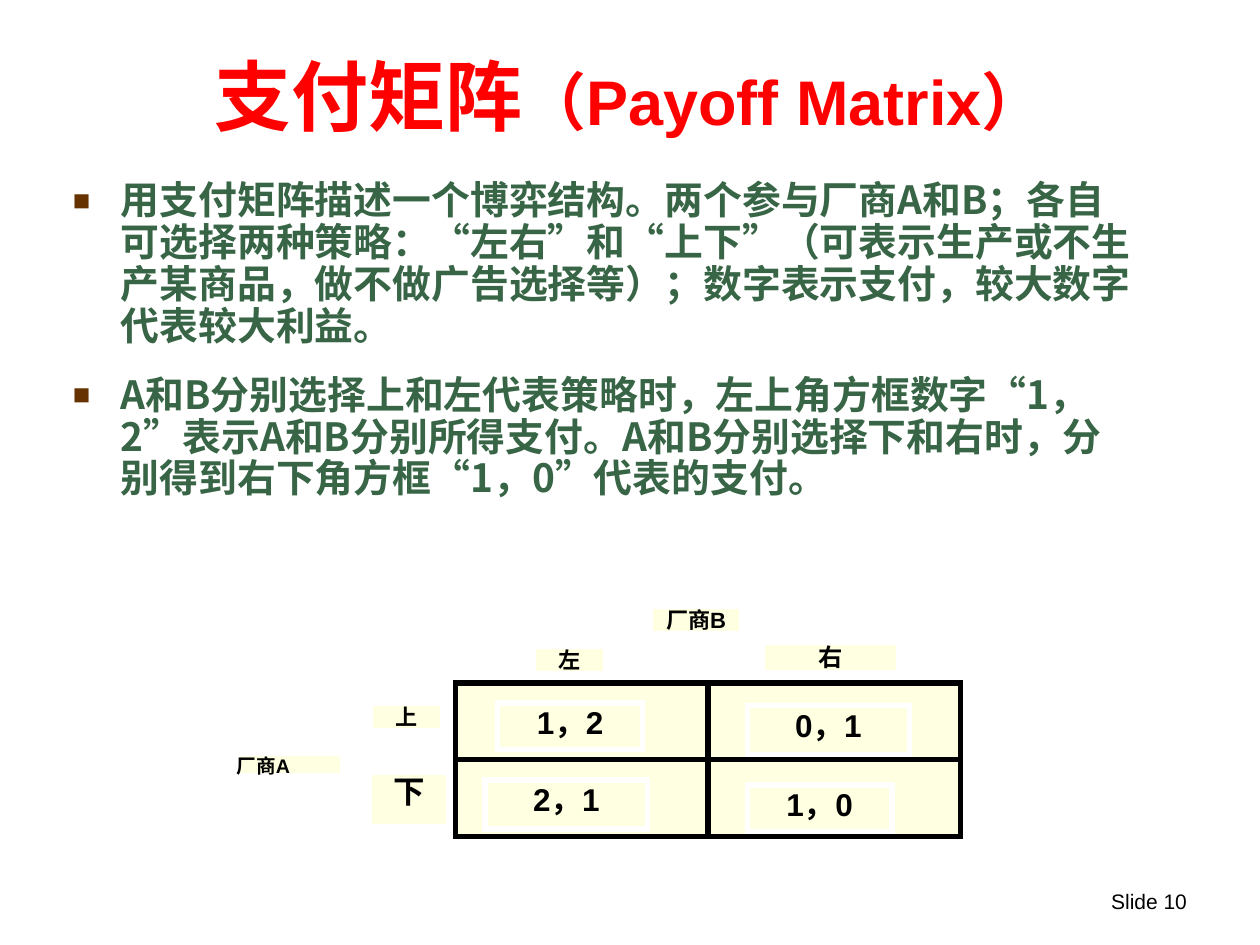
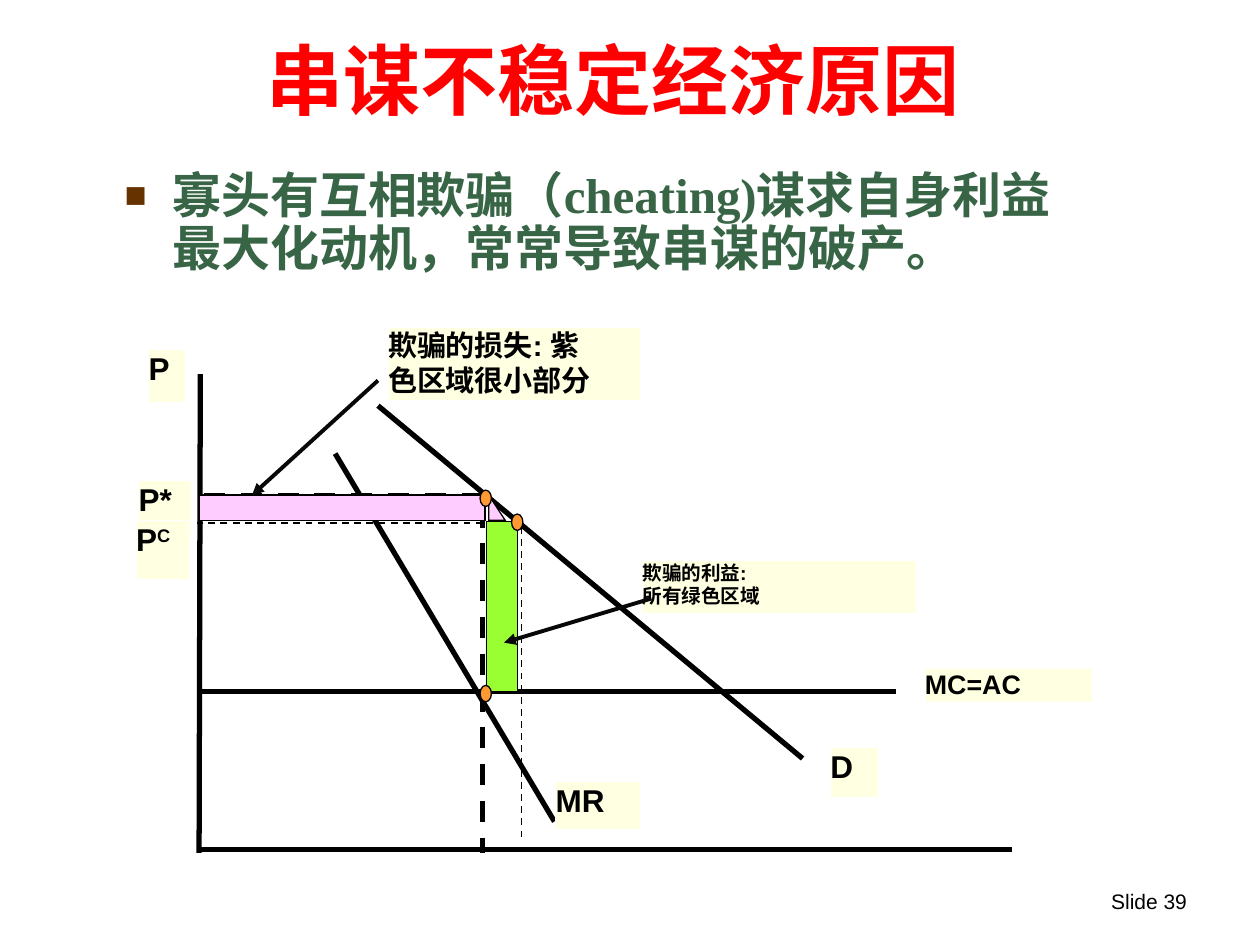
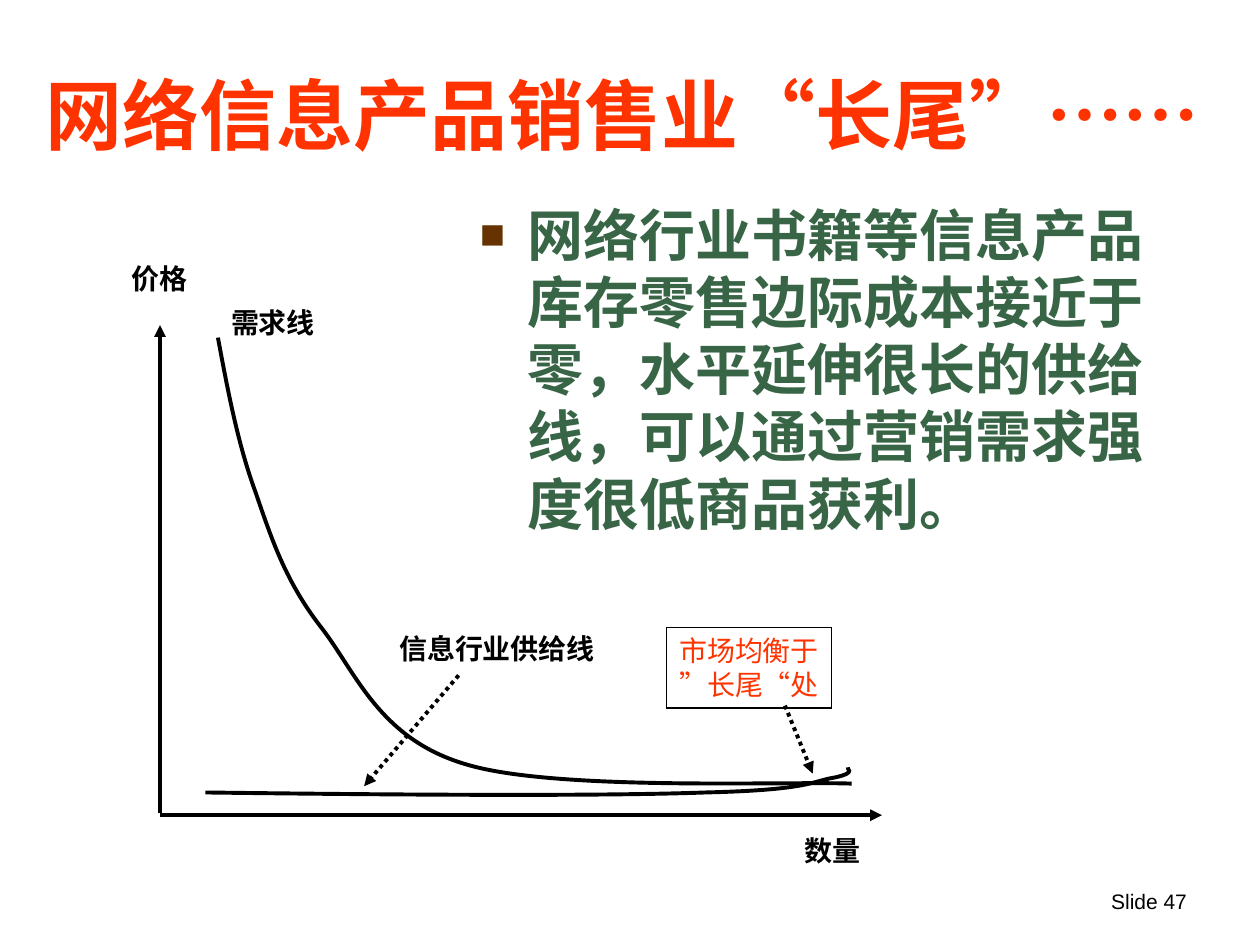
"""Build three lecture slides on games, collusion and the long tail."""
from dataclasses import dataclass, replace
from typing import NamedTuple, Optional

from lxml.etree import SubElement
from pptx import Presentation
from pptx.dml.color import RGBColor
from pptx.enum.dml import MSO_LINE as Dash
from pptx.enum.shapes import MSO_CONNECTOR as Connector, MSO_SHAPE as Preset
from pptx.enum.text import MSO_ANCHOR as Anchor, MSO_AUTO_SIZE as AutoSize, PP_ALIGN as Align
from pptx.oxml.ns import qn
from pptx.util import Inches, Pt

WIDTH, HEIGHT = Inches(10), Inches(7.5)
COLUMNS, ROWS = 100, 75


@dataclass(frozen=True)
class Theme:
    """Colours, fonts and type sizes of the deck."""
    ink: str = "000000"
    arrow: str = "080808"
    title: str = "FF0000"
    accent: str = "FF3300"
    body: str = "376546"
    bullet: str = "663300"
    paper: str = "FFFFE1"
    white: str = "FFFFFF"
    loss: str = "FFCCFF"
    gain: str = "99FF33"
    point: str = "FF9933"
    latin: str = "Arial"
    serif: str = "Times New Roman"
    chinese: str = "Noto Sans CJK SC"
    title_size: float = 44
    title_small: float = 36
    body_large: float = 32
    body_medium: float = 28
    body_small: float = 22.2
    label_large: float = 18
    note_large: float = 16.6
    label: float = 16
    cost_label: float = 15.3
    label_wide: float = 13.9
    label_small: float = 12.6
    footer: float = 12
    note_small: float = 11.2


THEME = Theme()


class Box(NamedTuple):
    """A place in grid columns and rows."""
    col: float
    row: float
    cols: float
    rows: float


class Point(NamedTuple):
    """A position in grid columns and rows."""
    col: float
    row: float


@dataclass(frozen=True)
class Type:
    """The look of a run of text."""
    size: float
    colour: str = THEME.ink
    font: str = THEME.latin
    bold: bool = True
    raised: bool = False


class Words(NamedTuple):
    """A run of text with its look."""
    text: str
    look: Type


@dataclass(frozen=True)
class Setting:
    """How paragraphs sit in their frame."""
    align: Align = Align.LEFT
    anchor: Anchor = Anchor.TOP
    inset: tuple[float, float] = (0.1, 0.05)
    wrap: bool = True
    bulleted: bool = False
    leading: Optional[float] = None
    before: float = 0


class Pen(NamedTuple):
    """The stroke of a line."""
    width: float
    colour: str = THEME.ink
    dash: Optional[Dash] = None
    arrow: bool = False


class Label(NamedTuple):
    """A filled caption with one line of text."""
    text: str
    box: Box
    size: float = THEME.label_large
    align: Align = Align.CENTER


Paragraphs = list[list[Words]]
TITLE = Setting(Align.CENTER, Anchor.BOTTOM)
BODY = Setting(bulleted=True, leading=0.9)
TIGHT = Setting(inset=(0, 0))
LOOSE = Setting(wrap=False)
TITLE_TYPE = Type(THEME.title_size, THEME.title, THEME.chinese)
BODY_TYPE = Type(THEME.body_small, THEME.body, THEME.chinese)
THICK, MEDIUM, THIN, FINE, HAIR = Pen(3), Pen(2.25), Pen(1), Pen(0.75), Pen(0.25, THEME.white)
FRAME = Pen(3, THEME.white)
ARROW = MEDIUM._replace(arrow=True)
DOTTED = ARROW._replace(dash=Dash.ROUND_DOT)


def across(cols: float) -> int:
    """Turn grid columns into a length."""
    return round(WIDTH * cols / COLUMNS)


def down(rows: float) -> int:
    """Turn grid rows into a length."""
    return round(HEIGHT * rows / ROWS)


def place(box: Box) -> tuple[int, int, int, int]:
    """Turn a grid box into left, top, width and height."""
    return across(box.col), down(box.row), across(box.cols), down(box.rows)


def stroke(line, pen: Pen) -> None:
    """Apply a pen with square corners to a line format."""
    line.color.rgb = RGBColor.from_string(pen.colour)
    line.width = Pt(pen.width)
    if pen.dash:
        line.dash_style = pen.dash
    SubElement(line._get_or_add_ln(), qn("a:miter")).set("lim", "800000")


def add_bullet(paragraph) -> None:
    """Give a paragraph a hanging square bullet."""
    props = paragraph._p.get_or_add_pPr()
    props.set("marL", str(Inches(0.38)))
    props.set("indent", str(-Inches(0.38)))
    props.set("hangingPunct", "0")
    colour = SubElement(props, qn("a:buClr"))
    SubElement(colour, qn("a:srgbClr")).set("val", THEME.bullet)
    SubElement(props, qn("a:buSzPct")).set("val", "75000")
    SubElement(props, qn("a:buFont")).set("typeface", THEME.latin)
    SubElement(props, qn("a:buChar")).set("char", "■")


def add_run(paragraph, words: Words) -> None:
    """Append one styled run."""
    run = paragraph.add_run()
    run.text = words.text
    look, font = words.look, run.font
    font.size, font.bold, font.name = Pt(look.size), look.bold, look.font
    font.color.rgb = RGBColor.from_string(look.colour)
    props = run._r.get_or_add_rPr()
    props.set("lang", "zh-CN")
    if look.raised:
        props.set("baseline", "30000")
    SubElement(props, qn("a:ea")).set("typeface", THEME.chinese)


def write(shape, paragraphs: Paragraphs, setting: Setting) -> None:
    """Fill a shape with paragraphs."""
    frame = shape.text_frame
    frame.word_wrap = setting.wrap
    frame.auto_size = AutoSize.NONE if setting.wrap else AutoSize.SHAPE_TO_FIT_TEXT
    frame.vertical_anchor = setting.anchor
    frame.margin_left = frame.margin_right = Inches(setting.inset[0])
    frame.margin_top = frame.margin_bottom = Inches(setting.inset[1])
    for index, runs in enumerate(paragraphs):
        paragraph = frame.add_paragraph() if index else frame.paragraphs[0]
        paragraph.alignment = setting.align
        paragraph.space_before = Pt(setting.before)
        if setting.leading:
            paragraph.line_spacing = setting.leading
        if setting.bulleted:
            add_bullet(paragraph)
        for words in runs:
            add_run(paragraph, words)


def add_text(slide, box: Box, paragraphs: Paragraphs, setting: Setting) -> None:
    """Add a plain text box."""
    write(slide.shapes.add_textbox(*place(box)), paragraphs, setting)


def add_area(slide, box: Box, fill: Optional[str], pen: Pen, preset: Preset = Preset.RECTANGLE):
    """Add an outlined preset shape."""
    area = slide.shapes.add_shape(preset, *place(box))
    area.shadow.inherit = False
    if fill:
        area.fill.solid()
        area.fill.fore_color.rgb = RGBColor.from_string(fill)
    else:
        area.fill.background()
    stroke(area.line, pen)
    return area


def add_label(slide, label: Label, pen: Pen) -> None:
    """Add a caption on a pale ground."""
    ground = add_area(slide, label.box, THEME.paper, pen)
    write(ground, [[Words(label.text, Type(label.size))]], replace(TIGHT, align=label.align))


def add_line(slide, start: Point, end: Point, pen: Pen) -> None:
    """Draw a straight line, with an arrowhead if the pen has one."""
    line = slide.shapes.add_connector(
        Connector.STRAIGHT, across(start.col), down(start.row), across(end.col), down(end.row))
    stroke(line.line, pen)
    if pen.arrow:
        SubElement(line.line._get_or_add_ln(), qn("a:tailEnd")).set("type", "triangle")
    SubElement(line._element.spPr, qn("a:effectLst"))


def add_curve(slide, knots: list[Point], pen: Pen) -> None:
    """Draw a chain of cubic curves that share their end knots."""
    builder = slide.shapes.build_freeform(across(knots[0].col), down(knots[0].row))
    builder.add_line_segments([(across(p.col), down(p.row)) for p in knots[1:]], close=False)
    curve = builder.convert_to_shape()
    track = next(curve._element.iter(qn("a:path")))
    segments = track.findall(qn("a:lnTo"))
    for first in range(0, len(segments), 3):
        cubic = SubElement(track, qn("a:cubicBezTo"))
        for segment in segments[first:first + 3]:
            cubic.append(segment[0])
            track.remove(segment)
    curve.shadow.inherit = False
    curve.fill.background()
    stroke(curve.line, pen)


def start_slide(deck, number: int, title_box: Box, title: list[Words],
                setting: Setting = TITLE):
    """Add a slide with its number and title."""
    slide = deck.slides.add_slide(deck.slide_layouts[6])
    footer = Words(f"Slide {number}", Type(THEME.footer, bold=False))
    add_text(slide, Box(83.2, 70, 12, 5), [[footer]], Setting(Align.RIGHT))
    add_text(slide, title_box, [title], setting)
    return slide


def payoff_slide(deck) -> None:
    """Explain the payoff matrix of two firms."""
    slide = start_slide(deck, 10, Box(7.5, 3.3, 85, 8.4), [
        Words("支付矩阵", TITLE_TYPE),
        Words("（Payoff Matrix）", replace(TITLE_TYPE, size=THEME.title_small, font=THEME.latin))])
    points = (
        "用支付矩阵描述一个博弈结构。两个参与厂商A和B；各自可选择两种策略：“左右”和“上下”"
        "（可表示生产或不生产某商品，做不做广告选择等）；数字表示支付，较大数字代表较大利益。",
        "A和B分别选择上和左代表策略时，左上角方框数字“1，2”表示A和B分别所得支付。"
        "A和B分别选择下和右时，分别得到右下角方框“1，0”代表的支付。")
    add_text(slide, Box(4.8, 13.9, 86.5, 32.5), [[Words(point, BODY_TYPE)] for point in points],
             replace(BODY, before=15))
    matrix = Box(36.15, 54.2, 40.1, 12.2)
    right, bottom = matrix.col + matrix.cols, matrix.row + matrix.rows
    middle_col, middle_row = matrix.col + matrix.cols / 2, matrix.row + matrix.rows / 2
    add_area(slide, matrix, THEME.paper, THICK)
    add_line(slide, Point(matrix.col, middle_row), Point(right, middle_row), THICK)
    add_line(slide, Point(middle_col, matrix.row), Point(middle_col, bottom), THICK)
    for label in (
            Label("1，2", Box(39.5, 55.8, 11.5, 3.7)),
            Label("1，0", Box(59.3, 62.3, 11.5, 3.7)),
            Label("2，1", Box(38.5, 61.9, 12.9, 3.9)),
            Label("0，1", Box(59.3, 56, 12.9, 3.9)),
            Label("左", Box(42.3, 51.3, 5.8, 2.2), THEME.label_small),
            Label("上", Box(29.4, 55.8, 5.7, 2.2), THEME.label_small),
            Label("右", Box(60.5, 51, 10.8, 2.4), THEME.label_wide),
            Label("下", Box(29.3, 61.3, 6.3, 4.3)),
            Label("厂商B", Box(51.6, 48.1, 7.3, 2.2), THEME.label_small),
            Label("厂商A", Box(18.8, 59.8, 8.4, 1.8), THEME.note_small, Align.JUSTIFY)):
        add_label(slide, label, FRAME)


def collusion_slide(deck) -> None:
    """Show the gain and loss from cheating on a cartel."""
    slide = start_slide(deck, 39, Box(6.2, 3.7, 85, 6.7), [Words("串谋不稳定经济原因", TITLE_TYPE)])
    reason = Words("寡头有互相欺骗（cheating)谋求自身利益最大化动机，常常导致串谋的破产。",
                   replace(BODY_TYPE, size=THEME.body_medium, font=THEME.serif))
    add_text(slide, Box(8.9, 13.1, 77.7, 9.4), [[reason]], replace(BODY, before=17.5))
    dashed, dashed_thin = THICK._replace(dash=Dash.DASH), THIN._replace(dash=Dash.DASH)
    for start, end, pen in (
            (Point(15.9, 67.4), Point(80.3, 67.4), THICK),
            (Point(15.8, 67.7), Point(15.9, 29.7), THICK),
            (Point(30, 32.2), Point(63.7, 60.2), THICK),
            (Point(26.6, 36), Point(44, 65.2), THICK),
            (Point(15.9, 54.9), Point(71.1, 54.9), THICK),
            (Point(38.3, 40.2), Point(38.3, 67.7), dashed),
            (Point(38.3, 39.3), Point(15.8, 39.3), dashed),
            (Point(41.2, 41.5), Point(15.6, 41.5), dashed_thin),
            (Point(41.4, 41.8), Point(41.4, 66.8), dashed_thin)):
        add_line(slide, start, end, pen)
    for label in (
            Label("D", Box(65.9, 59.3, 3.8, 4)),
            Label("MR", Box(44.1, 62, 6.7, 3.8)),
            Label("P", Box(11.8, 27.7, 2.9, 4.2)),
            Label("P*", Box(11, 38.1, 4.2, 4.7)),
            Label("MC=AC", Box(73.4, 53, 13.3, 2.7), THEME.cost_label)):
        add_label(slide, label._replace(align=Align.JUSTIFY), HAIR)
    add_area(slide, Box(15.8, 39.3, 22.7, 2), THEME.loss, FINE)
    add_area(slide, Box(38.8, 39.3, 1.3, 2), THEME.loss, FINE, Preset.RIGHT_TRIANGLE)
    add_area(slide, Box(38.6, 41.4, 2.5, 13.5), THEME.gain, FINE)
    price = Type(THEME.label_large)
    rival_price = [Words("P", price), Words("C", replace(price, raised=True))]
    notes = (
        (Box(10.8, 41.3, 4.2, 4.7), [rival_price]),
        (Box(30.8, 26, 20, 5.8), [[Words(line, Type(THEME.note_large))]
                                  for line in ("欺骗的损失: 紫", "色区域很小部分")]),
        (Box(51, 44.5, 21.7, 4.2), [[Words(line, Type(THEME.note_small))]
                                    for line in ("欺骗的利益:", "所有绿色区域")]))
    for box, lines in notes:
        write(add_area(slide, box, THEME.paper, HAIR), lines, TIGHT)
    for crossing in (Point(40.6, 40.8), Point(38.1, 38.9), Point(38.1, 54.4)):
        add_area(slide, Box(*crossing, 0.9, 1.3), THEME.point, FINE, Preset.OVAL)
    pointer = ARROW._replace(colour=THEME.arrow)
    add_line(slide, Point(30, 30.2), Point(20, 39.3), pointer)
    add_line(slide, Point(51.7, 47.5), Point(40, 51), pointer)


def long_tail_slide(deck) -> None:
    """Show where the market for information goods clears."""
    slide = start_slide(deck, 47, Box(2.6, 2.6, 94.9, 10.6), [
        Words("网络信息产品销售业“长尾”……", Type(THEME.title_size, THEME.accent))],
        replace(TITLE, align=Align.LEFT))
    message = Words("网络行业书籍等信息产品库存零售边际成本接近于零，水平延伸很长的供给线，"
                    "可以通过营销需求强度很低商品获利。", Type(THEME.body_large, THEME.body))
    add_text(slide, Box(37.1, 15.4, 57.2, 28.3), [[message]],
             replace(BODY, leading=None, before=20))
    add_line(slide, Point(12.7, 64.7), Point(70, 64.7), ARROW)
    add_line(slide, Point(12.7, 64.5), Point(12.7, 25.8), ARROW)
    demand = [Point(17.3, 26.8), Point(18.1, 31.1), Point(18.9, 35.3), Point(20.3, 39.1),
              Point(21.6, 42.9), Point(22.7, 46.2), Point(25.5, 49.8),
              Point(28.3, 53.4), Point(30.1, 58.7), Point(37.1, 60.7),
              Point(44.2, 62.8), Point(62.5, 62), Point(67.6, 62.2)]
    supply = [Point(16.3, 62.9), Point(32, 63.1), Point(47.6, 63.2), Point(56, 62.9),
              Point(64.3, 62.7), Point(64.4, 62), Point(66.3, 61.7),
              Point(68.1, 61.3), Point(67.1, 61), Point(67.3, 60.9)]
    for knots in (demand, supply):
        add_curve(slide, knots, MEDIUM)
    for caption, box in (
            ("价格", Box(9.45, 20.25, 6.4, 3.7)),
            ("数量", Box(62.9, 65.7, 6.4, 3.7)),
            ("需求线", Box(17.35, 23.75, 8.8, 3.7)),
            ("信息行业供给线", Box(30.7, 49.6, 17.5, 3.7))):
        add_text(slide, box, [[Words(caption, Type(THEME.label))]], LOOSE)
    balance = Type(THEME.label, THEME.accent, bold=False)
    write(add_area(slide, Box(52.9, 49.8, 13.1, 6.4), None, THIN),
          [[Words(line, balance)] for line in ("市场均衡于", "”长尾“处")],
          replace(LOOSE, align=Align.CENTER))
    add_line(slide, Point(62.3, 56), Point(64.5, 61.4), DOTTED)
    add_line(slide, Point(36.4, 53.6), Point(28.9, 62.4), DOTTED)


def main() -> None:
    """Build and save the deck."""
    deck = Presentation()
    deck.slide_width, deck.slide_height = WIDTH, HEIGHT
    for build in (payoff_slide, collusion_slide, long_tail_slide):
        build(deck)
    deck.save("out.pptx")


if __name__ == "__main__":
    main()
